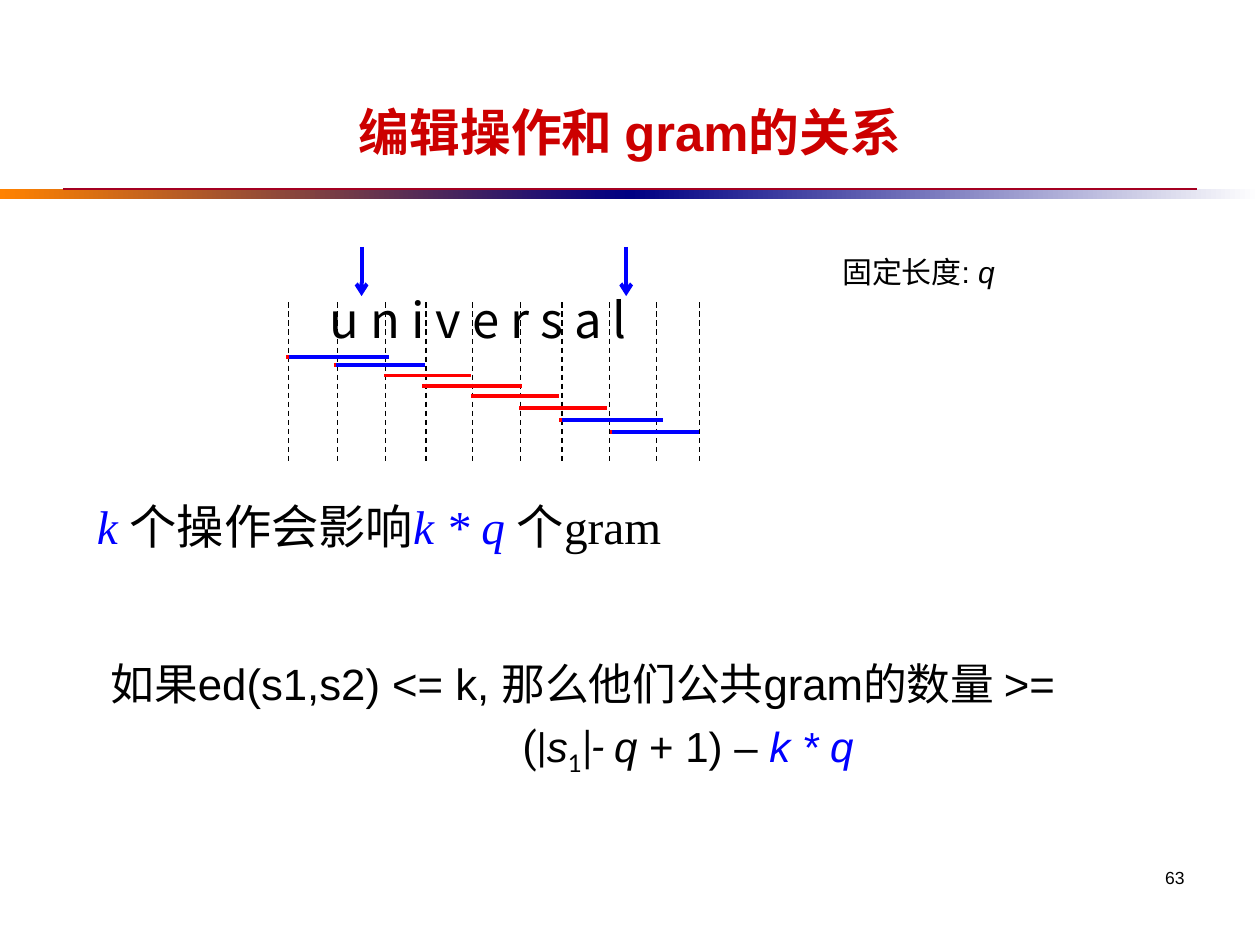
from lxml import etree
from pptx import Presentation
from pptx.dml.color import RGBColor
from pptx.enum import dml, shapes, text
from pptx.oxml.ns import qn
from pptx.util import Inches, Pt

BLACK = RGBColor(0, 0, 0)
BLUE = RGBColor(0, 0, 255)
RED = RGBColor(255, 0, 0)
TITLE_RED = RGBColor(0xCC, 0, 0)
RULE_RED = RGBColor(0xA5, 0, 0x21)
ORANGE = RGBColor(0xFF, 0x82, 0)
NAVY = RGBColor(0, 0, 0x82)
WHITE = RGBColor(255, 255, 255)
CJK = "Noto Sans CJK KR"
LEFT, CENTER, RIGHT = text.PP_ALIGN.LEFT, text.PP_ALIGN.CENTER, text.PP_ALIGN.RIGHT

# Each run: its text, then whatever differs from the format of its box
TITLE = [[("编辑操作和 gram的关系", {})]]
WORD = [[("u n i v e r s a l", {})]]
LENGTH = [[("固定长度: ", {}), ("q", {"italic": True})]]
EFFECT = [[
    ("k ", {"italic": True, "color": BLUE}),
    ("个操作会影响", {}),
    ("k * q ", {"italic": True, "color": BLUE}),
    ("个gram", {}),
]]
CONDITION = [[("如果ed(s1,s2) <= k, 那么他们公共gram的数量 >=", {})]]
BOUND = [[
    ("(|", {"font": "Roboto"}),
    ("s", {"italic": True}),
    ("1", {"font": "Lato", "baseline": -25000}),
    ("|", {"font": "Lato"}),
    ("- ", {"font": "Roboto", "italic": True}),
    ("q ", {"italic": True}),
    ("+ 1) – ", {}),
    ("k * q", {"italic": True, "color": BLUE}),
]]
PAGE = [[("63", {})]]

LETTER_EDGES = [2.29, 2.68, 3.06, 3.38, 3.75, 4.13, 4.46, 4.84, 5.21, 5.55]
GRAMS = [  # left, right, height on the slide, affected by an edit
    (2.27, 3.07, 2.83, True),
    (2.65, 3.35, 2.9, True),
    (3.05, 3.74, 2.98, False),
    (3.35, 4.14, 3.06, False),
    (3.74, 4.44, 3.14, False),
    (4.12, 4.82, 3.24, False),
    (4.44, 5.24, 3.33, True),
    (4.84, 5.53, 3.43, True),
]
EDITS = [2.87, 4.97]

prs = Presentation()
prs.slide_width, prs.slide_height = Inches(10), Inches(7.5)
slide = prs.slides.add_slide(prs.slide_layouts[6])


def add_text(paragraphs, box, size, font="Arial", color=BLACK, bold=False,
             align=LEFT, anchor=text.MSO_ANCHOR.TOP, wrap=True):
    frame = slide.shapes.add_textbox(*map(Inches, box)).text_frame
    frame.word_wrap = wrap
    frame.vertical_anchor = anchor
    for i, runs in enumerate(paragraphs):
        paragraph = frame.paragraphs[0] if i == 0 else frame.add_paragraph()
        paragraph.alignment = align
        for words, own in runs:
            run = paragraph.add_run()
            run.text = words
            run.font.size = Pt(own.get("size", size))
            run.font.name = own.get("font", font)
            run.font.bold = bold
            run.font.italic = own.get("italic", False)
            run.font.color.rgb = own.get("color", color)
            props = run.font._element
            props.find(qn("a:latin")).addnext(
                props.makeelement(qn("a:ea"), {"typeface": CJK}))
            if "baseline" in own:
                props.set("baseline", str(own["baseline"]))
    return frame


def add_line(x1, y1, x2, y2, color, width, dashed=False, arrow=False):
    line = slide.shapes.add_connector(
        shapes.MSO_CONNECTOR.STRAIGHT, *map(Inches, (x1, y1, x2, y2)))
    line.line.color.rgb = color
    line.line.width = Pt(width)
    if dashed:
        line.line.dash_style = dml.MSO_LINE.DASH
    if arrow:
        etree.SubElement(line.line._get_or_add_ln(), qn("a:tailEnd"), type="arrow")
    etree.SubElement(line._element.spPr, qn("a:effectLst"))


def add_band(left, start, end):
    band = slide.shapes.add_shape(
        shapes.MSO_SHAPE.RECTANGLE, *map(Inches, (left, 1.5, 5, 0.08)))
    band.shadow.inherit = False
    band.line.fill.background()
    band.fill.gradient()
    band.fill.gradient_angle = 0
    for stop, color in zip(band.fill.gradient_stops, (start, end)):
        stop.color.rgb = color


add_band(0, ORANGE, NAVY)
add_band(5, NAVY, WHITE)
add_text(TITLE, (0.5, 0.25, 9, 1.08), 29, color=TITLE_RED, bold=True,
         align=CENTER, anchor=text.MSO_ANCHOR.BOTTOM)
add_text(EFFECT, (0.67, 3.9, 8.5, 0.84), 27, font="Times New Roman")
add_line(0.5, 1.5, 9.5, 1.5, RULE_RED, 0.75)

for x in LETTER_EDGES:
    add_line(x, 2.4, x, 3.68, BLACK, 0.75, dashed=True)
add_text(WORD, (2.52, 2.25, 2.76, 0.57), 28, font=CJK, wrap=False)
for left, right, y, affected in GRAMS:
    add_line(left, y, right, y, RED, 2.25)
    if affected:
        add_line(left + 0.02, y, right + 0.02, y, BLUE, 2.25)
for x in EDITS:
    add_line(x, 1.96, x, 2.35, BLUE, 2.25, arrow=True)

length = add_text(LENGTH, (5.94, 2.02, 2.7, 0.39), 17.1, align=CENTER)
length.paragraphs[0].line_spacing = 0.8
add_text(PAGE, (7.17, 6.83, 2.33, 0.5), 10, align=RIGHT)

claim = add_text(CONDITION + BOUND, (0.78, 5.16, 8.36, 1.07), 25)
bound = claim.paragraphs[1]
bound.alignment = CENTER
bound.line_spacing = 1.2
bound._p.get_or_add_pPr().set("marL", str(Inches(1)))
for run in bound.runs:
    run.font.size = Pt(24)

prs.save("out.pptx")
